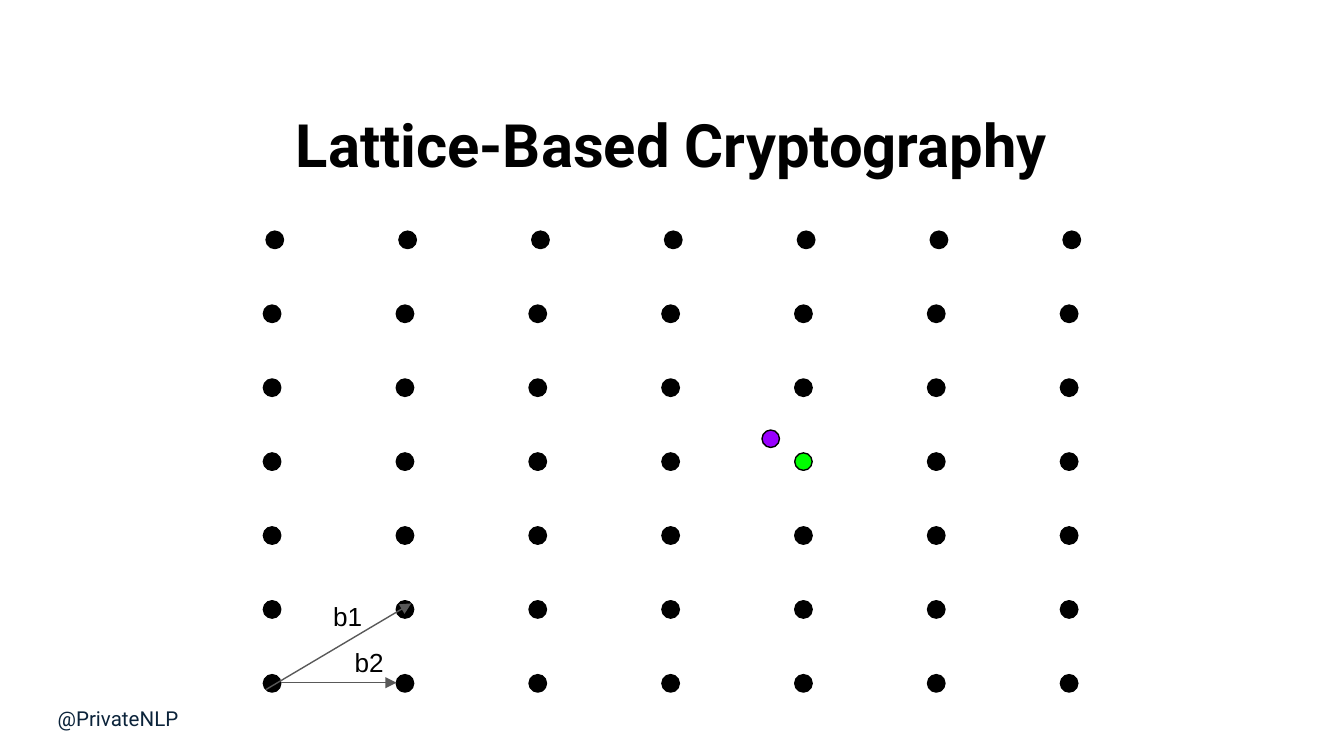
from dataclasses import dataclass
from itertools import product

from lxml.etree import SubElement
from pptx import Presentation
from pptx.dml.color import RGBColor
from pptx.enum.shapes import MSO_CONNECTOR as Connector, MSO_SHAPE as Shape
from pptx.enum.text import MSO_ANCHOR as Anchor, PP_ALIGN as Align
from pptx.oxml.ns import qn
from pptx.util import Inches, Pt


@dataclass(frozen=True)
class Theme:
    """Colours, fonts and sizes of the slide."""
    black: str = "000000"
    nearest: str = "00FF00"
    target: str = "9900FF"
    arrow: str = "595959"
    handle: str = "0B233A"
    heading_font: str = "Roboto"
    label_font: str = "Arial"
    title_size: int = 32
    label_size: int = 14
    handle_size: int = 11
    line_width: float = 0.75
    dot: float = 0.13


THEME = Theme()


def add_text(page, box, text, font, size, color, bold=False, align=Align.LEFT, anchor=Anchor.TOP):
    """Place one line of text in a box with even insets."""
    frame = page.shapes.add_textbox(*map(Inches, box)).text_frame
    frame.word_wrap = True
    frame.vertical_anchor = anchor
    frame.margin_left = frame.margin_right = Inches(0.1)
    frame.margin_top = frame.margin_bottom = Inches(0.1)
    frame.text = text
    para = frame.paragraphs[0]
    para.alignment = align
    span = para.runs[0]
    span.font.name, span.font.size, span.font.bold = font, Pt(size), bold
    span.font.color.rgb = RGBColor.from_string(color)


def add_dot(shapes, left, top, color):
    """Draw an outlined lattice point."""
    dot = shapes.add_shape(Shape.OVAL, *map(Inches, (left, top, THEME.dot, THEME.dot)))
    dot.shadow.inherit = False
    dot.fill.solid()
    dot.fill.fore_color.rgb = RGBColor.from_string(color)
    dot.line.color.rgb = RGBColor.from_string(THEME.black)
    dot.line.width = Pt(THEME.line_width)


def add_arrow(page, start, end):
    """Draw a basis vector with a triangular head."""
    arrow = page.shapes.add_connector(Connector.STRAIGHT, *map(Inches, (*start, *end)))
    arrow.line.color.rgb = RGBColor.from_string(THEME.arrow)
    arrow.line.width = Pt(THEME.line_width)
    properties = arrow._element.spPr
    SubElement(properties.find(qn("a:ln")), qn("a:tailEnd"), type="triangle")
    SubElement(properties, qn("a:effectLst"))


def add_lattice(page, box, count=7, nearest=(3, 4), top_row_shift=0.02):
    """Fill the box with a square count of points, one group per row."""
    left, top, width, height = box
    column_step = (width - THEME.dot) / (count - 1)
    row_step = (height - THEME.dot) / (count - 1)
    rows = [page.shapes.add_group_shape() for _ in range(count)]
    for row, column in product(range(count), repeat=2):
        shift = 0 if row else top_row_shift
        color = THEME.nearest if (row, column) == nearest else THEME.black
        add_dot(rows[row].shapes, left + shift + column * column_step, top + row * row_step, color)


def add_basis(page, box):
    """Draw the two labelled basis vectors from the lower left of the box."""
    left, top, width, height = box
    bottom = top + height
    add_arrow(page, (left + 0.11, bottom - 0.05), (left + 0.97, bottom - 0.05))
    add_arrow(page, (left, bottom), (left + width, top))


def add_basis_labels(page, box):
    """Name the basis vectors relative to the box they span."""
    left, top, _, _ = box
    for text, across, down in (("b1", 0.4, -0.12), ("b2", 0.56, 0.22)):
        add_text(page, (left + across, top + down, 0.48, 0.44), text,
                 THEME.label_font, THEME.label_size, THEME.black)


def build_slide(page):
    """Compose the title, lattice, vectors, handle and target point."""
    basis_box = (1.98, 4.49, 1.08, 0.64)
    add_text(page, (0.34, 0.61, 9.32, 0.92), "Lattice-Based Cryptography",
             THEME.heading_font, THEME.title_size, THEME.black,
             bold=True, align=Align.CENTER, anchor=Anchor.MIDDLE)
    add_lattice(page, (1.96, 1.72, 6.06, 3.43))
    add_basis(page, basis_box)
    add_text(page, (0.33, 5.16, 1.18, 0.39), "@PrivateNLP",
             THEME.heading_font, THEME.handle_size, THEME.handle)
    add_basis_labels(page, basis_box)
    add_dot(page.shapes, 5.67, 3.2, THEME.target)


def main():
    """Create and save a widescreen deck."""
    deck = Presentation()
    deck.slide_width = Inches(10)
    deck.slide_height = deck.slide_width * 9 // 16
    build_slide(deck.slides.add_slide(deck.slide_layouts[6]))
    deck.save("out.pptx")


if __name__ == "__main__":
    main()
